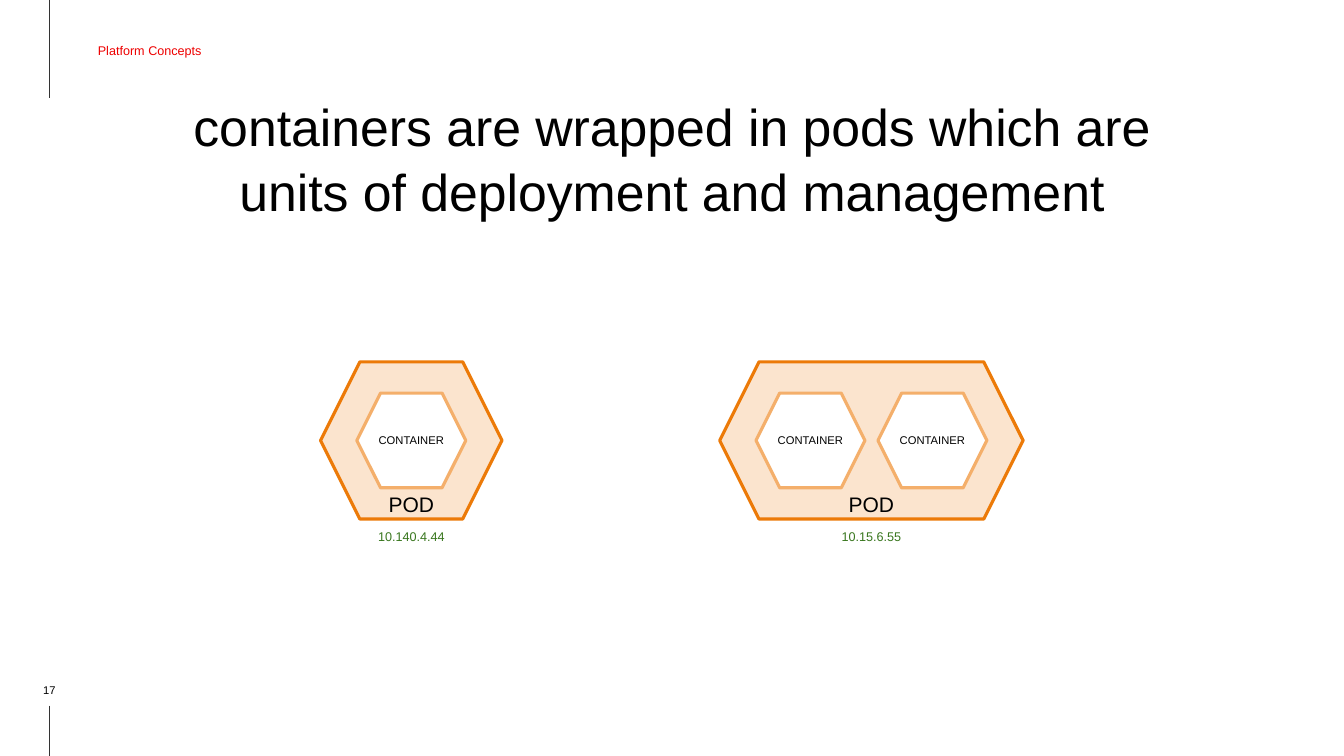
from dataclasses import dataclass

import pptx
import pptx.dml.color
import pptx.enum.shapes
import pptx.enum.text
import pptx.oxml
import pptx.util
from pptx.enum.text import MSO_ANCHOR, PP_ALIGN
from pptx.util import Pt


@dataclass(frozen=True)
class Theme:
    font: str = "Arial"
    black: str = "000000"
    red: str = "EE0000"
    green: str = "38761D"
    rule: str = "333333"
    pod_fill: str = "FBE4CE"
    pod_line: str = "EC7A08"
    container_fill: str = "FFFFFF"
    container_line: str = "F4AF6B"
    title_size: float = 37
    pod_size: float = 15
    label_size: float = 9
    small_size: float = 8
    outline: float = 2.25
    rule_width: float = 0.75


THEME = Theme()

SLIDE_WIDTH, SLIDE_HEIGHT = 960, 540
RULE_X = 35.3
POD_TOP, POD_HEIGHT = 258.5, 112.3
POD_PADDING = 25.9
CONTAINER_WIDTH, CONTAINER_HEIGHT = 77.8, 67.7
CONTAINER_PITCH = 87.1


def rgb(color):
    return pptx.dml.color.RGBColor.from_string(color)


def write_text(shape, text, size, color, align=PP_ALIGN.CENTER,
               anchor=MSO_ANCHOR.MIDDLE, insets=(0, 0, 0, 0)):
    """Fill a shape with one paragraph; insets run left, top, right, bottom."""
    frame = shape.text_frame
    frame.text = text
    frame.word_wrap = True
    frame.vertical_anchor = anchor
    (frame.margin_left, frame.margin_top,
     frame.margin_right, frame.margin_bottom) = [Pt(inset) for inset in insets]
    paragraph = frame.paragraphs[0]
    paragraph.alignment = align
    font = paragraph.runs[0].font
    font.name = THEME.font
    font.size = Pt(size)
    font.color.rgb = rgb(color)
    return paragraph


def add_text(slide, box, text, size, color, **options):
    shape = slide.shapes.add_textbox(*[Pt(length) for length in box])
    return write_text(shape, text, size, color, **options)


def add_rule(slide, top, bottom):
    connector = slide.shapes.add_connector(
        pptx.enum.shapes.MSO_CONNECTOR.STRAIGHT,
        Pt(RULE_X), Pt(top), Pt(RULE_X), Pt(bottom))
    connector.line.color.rgb = rgb(THEME.rule)
    connector.line.width = Pt(THEME.rule_width)
    properties = connector.element.spPr
    properties.append(properties.makeelement(
        pptx.oxml.ns.qn("a:effectLst"), {}))


def add_hexagon(slide, box, fill, line):
    shape = slide.shapes.add_shape(
        pptx.enum.shapes.MSO_SHAPE.HEXAGON, *[Pt(length) for length in box])
    shape.shadow.inherit = False
    shape.fill.solid()
    shape.fill.fore_color.rgb = rgb(fill)
    shape.line.color.rgb = rgb(line)
    shape.line.width = Pt(THEME.outline)
    return shape


def add_pod(slide, left, container_count, address):
    """Draw a pod wide enough for its containers, with its address below."""
    width = (2 * POD_PADDING + CONTAINER_WIDTH
             + (container_count - 1) * CONTAINER_PITCH)
    add_hexagon(slide, (left, POD_TOP, width, POD_HEIGHT),
                THEME.pod_fill, THEME.pod_line)
    container_top = POD_TOP + (POD_HEIGHT - CONTAINER_HEIGHT) / 2
    for index in range(container_count):
        container_left = left + POD_PADDING + index * CONTAINER_PITCH
        container = add_hexagon(
            slide,
            (container_left, container_top, CONTAINER_WIDTH, CONTAINER_HEIGHT),
            THEME.container_fill, THEME.container_line)
        write_text(container, "CONTAINER", THEME.small_size, THEME.black)
    add_text(slide, (left, 350, width, 20), "POD",
             THEME.pod_size, THEME.black)
    add_text(slide, (left, 372.2, width, 24.5), address,
             THEME.label_size, THEME.green,
             anchor=MSO_ANCHOR.TOP, insets=(9.4, 9.4, 9.4, 9.4))


def main():
    presentation = pptx.Presentation()
    presentation.slide_width = Pt(SLIDE_WIDTH)
    presentation.slide_height = Pt(SLIDE_HEIGHT)
    slide = presentation.slides.add_slide(presentation.slide_layouts[6])

    add_rule(slide, 0, 70)
    add_rule(slide, 504, SLIDE_HEIGHT)
    add_text(slide, (RULE_X, 4.3, 405, 64), "Platform Concepts",
             THEME.label_size, THEME.red,
             align=PP_ALIGN.LEFT, insets=(34.6, 7.2, 7.2, 7.2))
    add_text(slide, (6.5, 486, 57.6, 11.5), "17",
             THEME.small_size, THEME.black, anchor=MSO_ANCHOR.BOTTOM)
    title = add_text(
        slide, (87.1, 56.2, 786.2, 111.6),
        "containers are wrapped in pods which are units of deployment"
        " and management",
        THEME.title_size, THEME.black,
        anchor=MSO_ANCHOR.BOTTOM, insets=(9.4, 9.4, 9.4, 9.4))
    title.line_spacing = 1.04

    add_pod(slide, 229, 1, "10.140.4.44")
    add_pod(slide, 514.1, 2, "10.15.6.55")
    presentation.save("out.pptx")


if __name__ == "__main__":
    main()
